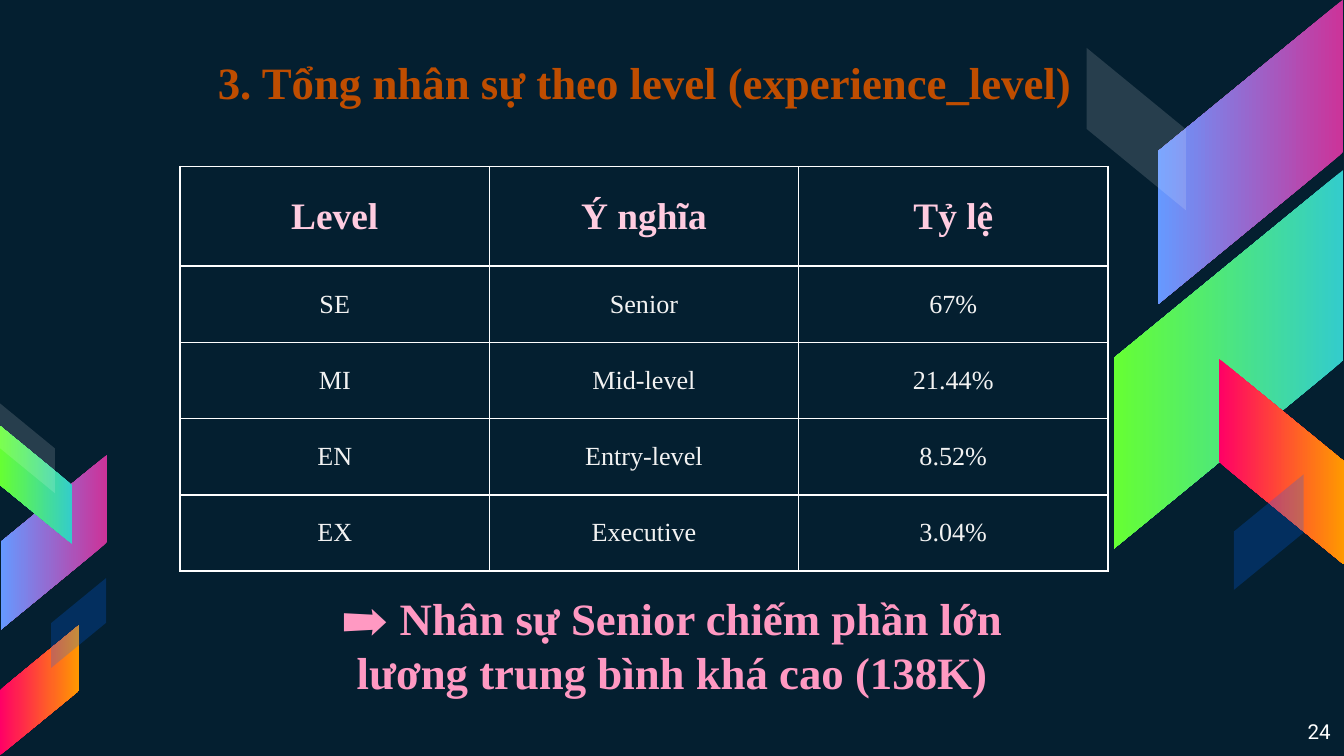
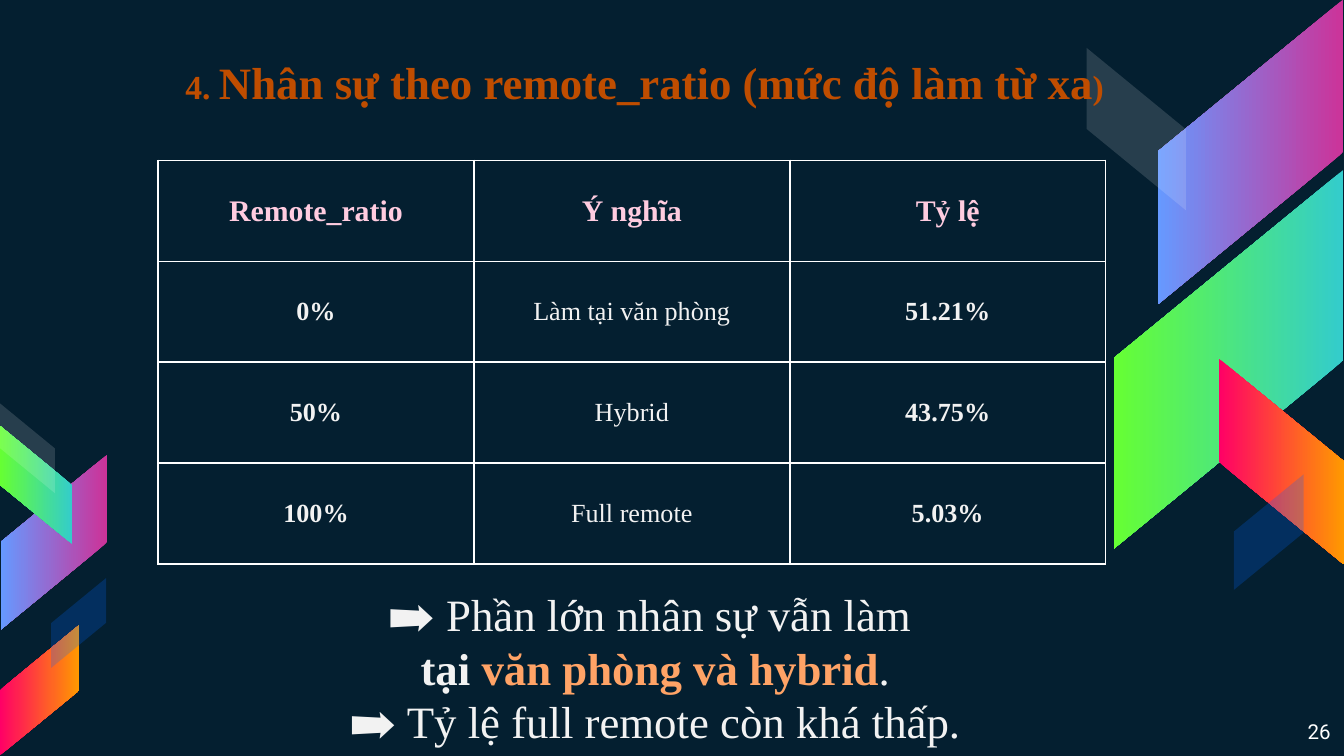
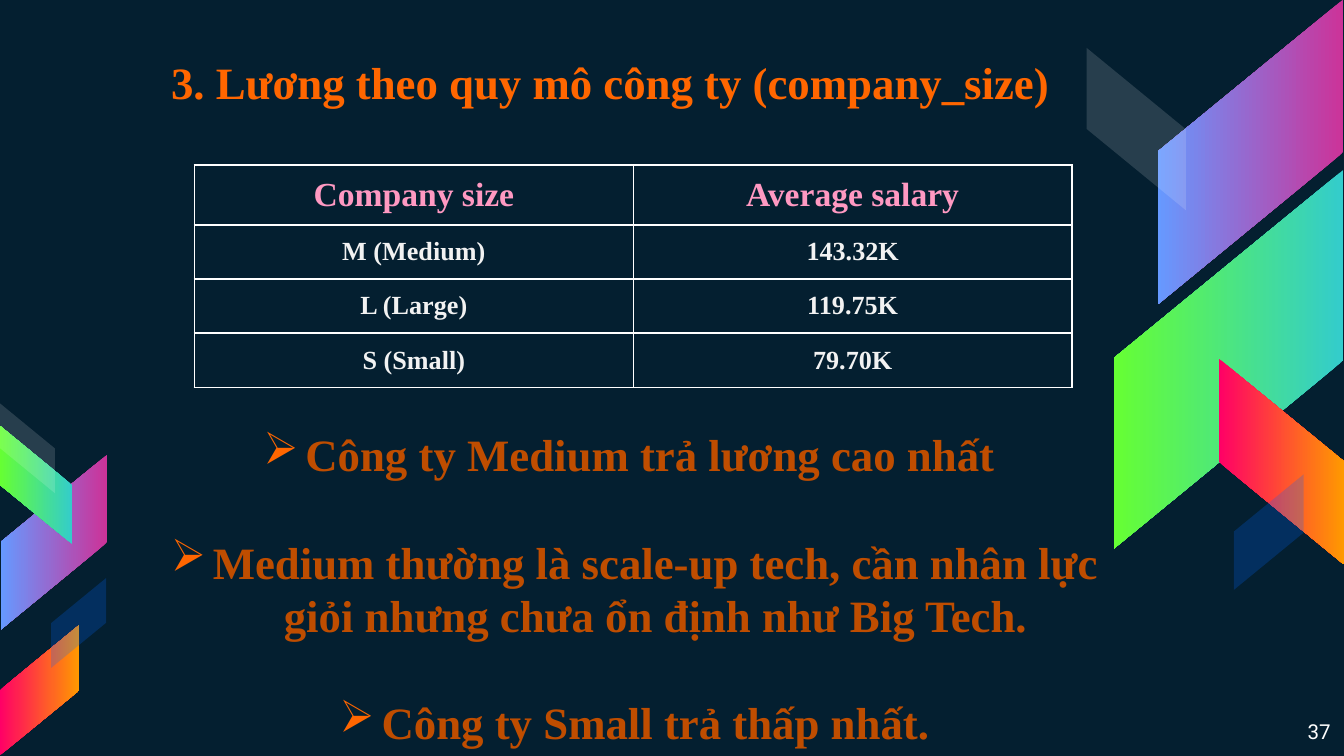
import pptx
import pptx.dml.color
import pptx.enum.dml
import pptx.enum.shapes
import pptx.enum.text
import pptx.oxml
import pptx.oxml.ns
import pptx.util
from lxml import etree

Pt = pptx.util.Pt
RGBColor = pptx.dml.color.RGBColor
Align = pptx.enum.text.PP_ALIGN
Anchor = pptx.enum.text.MSO_ANCHOR
AutoSize = pptx.enum.text.MSO_AUTO_SIZE
qn = pptx.oxml.ns.qn

NAVY = RGBColor(0x04, 0x1F, 0x30)
WHITE = RGBColor(0xFF, 0xFF, 0xFF)
PALE = RGBColor(0xF2, 0xF2, 0xF2)
RUST = RGBColor(0xBF, 0x4D, 0x00)
ORANGE = RGBColor(0xFF, 0x66, 0x00)
PEACH = RGBColor(0xFF, 0xA3, 0x66)
PINK = RGBColor(0xFF, 0x99, 0xC2)
BLUSH = RGBColor(0xFF, 0xCC, 0xE0)
MAGENTA = RGBColor(0xCC, 0x33, 0x99)
SKY = RGBColor(0x66, 0x99, 0xFF)
TEAL = RGBColor(0x33, 0xCC, 0xCC)
LIME = RGBColor(0x66, 0xFF, 0x33)
CRIMSON = RGBColor(0xFF, 0x00, 0x66)
AMBER = RGBColor(0xFF, 0x99, 0x00)
BLUE = RGBColor(0x00, 0x66, 0xFF)

SERIF = "Times New Roman"
SANS = "Roboto"
LINE_PITCH = Pt(28.7)
BULLET_INDENT = Pt(22.5)

RIBBONS = [
    ((588.2, 31.7, 163.4, 99.4), 90, True, (MAGENTA, SKY)),
    ((556.6, 131, 203, 123.1), 90, True, (TEAL, LIME)),
    ((631.4, 213.8, 110.2, 67), 270, False, (CRIMSON, AMBER)),
    ((565.2, 42.5, 87.1, 53.3), 270, False, (WHITE, 14)),
    ((648.7, 266.4, 61.9, 37.4), 270, True, (BLUE, 23)),
    ((-18, 262.1, 93.6, 56.9), 90, True, (MAGENTA, SKY)),
    ((-12.2, 240.5, 63.4, 38.9), 90, False, (TEAL, LIME)),
    ((-13.7, 348.5, 69.8, 42.5), 270, True, (CRIMSON, AMBER)),
    ((-9.4, 225.4, 48.2, 29.5), 270, False, (WHITE, 14)),
    ((18, 319, 48.2, 29.5), 270, True, (BLUE, 23)),
]

SLIDES = [
    {
        "number": "24",
        "title_frame": (85, 5.8, 520.6, 76.3),
        "title": [("3. Tổng nhân sự theo level (experience_level)", 24, RUST, True)],
        "table_at": (96.5, 89.3),
        "column_width": 165.7,
        "row_heights": (53.3, 40.85),
        "header_style": (20, BLUSH),
        "bold_columns": (),
        "rows": [
            ("Level", "Ý nghĩa", "Tỷ lệ"),
            ("SE", "Senior", "67%"),
            ("MI", "Mid-level", "21.44%"),
            ("EN", "Entry-level", "8.52%"),
            ("EX", "Executive", "3.04%"),
        ],
        "note_frame": (77, 313.2, 566, 65.5),
        "bulleted": False,
        "note": [
            [("➡️ Nhân sự Senior chiếm phần lớn", 24, PINK, True)],
            [("lương trung bình khá cao (138K)", 24, PINK, True)],
        ],
    },
    {
        "number": "26",
        "title_frame": (85, 5.8, 520.6, 76.3),
        "title": [
            ("4. ", 18, RUST, True),
            ("Nhân sự theo remote_ratio (mức độ làm từ xa", 24, RUST, True),
            (")", 18, RUST, True),
        ],
        "table_at": (84.7, 86),
        "column_width": 169.2,
        "row_heights": (54, 54),
        "header_style": (16, BLUSH),
        "bold_columns": (0, 2),
        "rows": [
            ("Remote_ratio", "Ý nghĩa", "Tỷ lệ"),
            ("0%", "Làm tại văn phòng", "51.21%"),
            ("50%", "Hybrid", "43.75%"),
            ("100%", "Full remote", "5.03%"),
        ],
        "note_frame": (72, 311, 558, 94.3),
        "bulleted": False,
        "note": [
            [("➡️ Phần lớn nhân sự vẫn làm ", 24, PALE, False)],
            [
                ("tại ", 24, PALE, True),
                ("văn phòng và hybrid", 24, PEACH, True),
                (".", 24, PALE, False),
            ],
            [("➡️ Tỷ lệ full remote còn khá thấp.", 24, PALE, False)],
        ],
    },
    {
        "number": "37",
        "title_frame": (48.2, 5.8, 557.3, 76.3),
        "title": [("3. Lương theo quy mô công ty (company_size)", 24, ORANGE, True)],
        "table_at": (104.2, 88.4),
        "column_width": 235.1,
        "row_heights": (32, 29.1),
        "header_style": (18, PINK),
        "bold_columns": (0, 1),
        "rows": [
            ("Company size", "Average salary"),
            ("M (Medium)", "143.32K"),
            ("L (Large)", "119.75K"),
            ("S (Small)", "79.70K"),
        ],
        "note_frame": (82.8, 225.4, 514, 181.4),
        "bulleted": True,
        "note": [
            [("Công ty Medium trả lương cao nhất ", 24, RUST, True)],
            [("Medium thường là scale-up tech, cần nhân lực giỏi nhưng chưa ổn định như Big Tech.", 24, RUST, True)],
            [("Công ty Small trả thấp nhất.", 24, RUST, True)],
        ],
    },
]


def write_spans(para, spans, font_name=SERIF, align=Align.CENTER):
    para.alignment = align
    for text, size, color, bold in spans:
        span = para.add_run()
        span.text = text
        span.font.name = font_name
        span.font.size = Pt(size)
        span.font.bold = bold
        span.font.color.rgb = color


def add_box(page, frame, margin, anchor=Anchor.TOP):
    box = page.shapes.add_textbox(*map(Pt, frame))
    text_frame = box.text_frame
    text_frame.word_wrap = True
    text_frame.vertical_anchor = anchor
    text_frame.margin_top = text_frame.margin_bottom = Pt(margin)
    return text_frame


deck = pptx.Presentation()
deck.slide_width = Pt(720)
deck.slide_height = Pt(405)
background = deck.slide_master.background.fill
background.solid()
background.fore_color.rgb = NAVY

for content in SLIDES:
    page = deck.slides.add_slide(deck.slide_layouts[6])

    for frame, rotation, flipped, (first, second) in RIBBONS:
        ribbon = page.shapes.add_shape(
            pptx.enum.shapes.MSO_SHAPE.PARALLELOGRAM, *map(Pt, frame))
        ribbon.adjustments[0] = 0.82
        ribbon.rotation = rotation
        ribbon.shadow.inherit = False
        ribbon.line.fill.background()
        if flipped:
            ribbon._element.spPr.find(qn("a:xfrm")).set("flipH", "1")
        if isinstance(second, RGBColor):
            ribbon.fill.gradient()
            ribbon.fill.gradient_angle = 270
            for stop, color in zip(ribbon.fill.gradient_stops, (first, second)):
                stop.color.rgb = color
                stop.position = 0 if color == first else 1
        else:
            ribbon.fill.solid()
            ribbon.fill.fore_color.rgb = first
            tint = ribbon._element.spPr.find(qn("a:solidFill"))[0]
            etree.SubElement(tint, qn("a:alpha")).set("val", str(second * 1000))

    title = add_box(page, content["title_frame"], 7.2, Anchor.MIDDLE)
    write_spans(title.paragraphs[0], content["title"])

    number = add_box(page, (674, 378.7, 46, 26), 7.2)
    write_spans(number.paragraphs[0], [(content["number"], 11, WHITE, False)], SANS, Align.RIGHT)

    rows = content["rows"]
    left, top = content["table_at"]
    header_height, body_height = content["row_heights"]
    column_count = len(rows[0])
    table = page.shapes.add_table(
        len(rows), column_count, Pt(left), Pt(top),
        Pt(content["column_width"] * column_count),
        Pt(header_height + body_height * (len(rows) - 1))).table
    table.first_row = False
    table.horz_banding = False
    for column in table.columns:
        column.width = Pt(content["column_width"])
    for row_index, values in enumerate(rows):
        is_header = row_index == 0
        table.rows[row_index].height = Pt(header_height if is_header else body_height)
        size, color = content["header_style"] if is_header else (14, PALE)
        for column_index, value in enumerate(values):
            cell = table.cell(row_index, column_index)
            cell.vertical_anchor = Anchor.MIDDLE
            cell.fill.background()
            bold = is_header or column_index in content["bold_columns"]
            write_spans(cell.text_frame.paragraphs[0], [(value, size, color, bold)])
            properties = cell._tc.get_or_add_tcPr()
            for position, side in enumerate(("a:lnL", "a:lnR", "a:lnT", "a:lnB")):
                border = etree.Element(qn(side), w=str(Pt(1)))
                fill = etree.SubElement(border, qn("a:solidFill"))
                etree.SubElement(fill, qn("a:srgbClr")).set("val", str(WHITE))
                properties.insert(position, border)

    note = add_box(page, content["note_frame"], 3.6)
    note.auto_size = AutoSize.SHAPE_TO_FIT_TEXT
    for index, spans in enumerate(content["note"]):
        para = note.add_paragraph() if index else note.paragraphs[0]
        para.line_spacing = LINE_PITCH
        if content["bulleted"]:
            if index:
                para.space_before = LINE_PITCH
            properties = para._p.get_or_add_pPr()
            properties.set("marL", str(BULLET_INDENT))
            properties.set("indent", str(-BULLET_INDENT))
            bullet_color = etree.SubElement(properties, qn("a:buClr"))
            etree.SubElement(bullet_color, qn("a:srgbClr")).set("val", str(ORANGE))
            etree.SubElement(properties, qn("a:buChar")).set("char", "➢")
        write_spans(para, spans)

deck.save("out.pptx")
